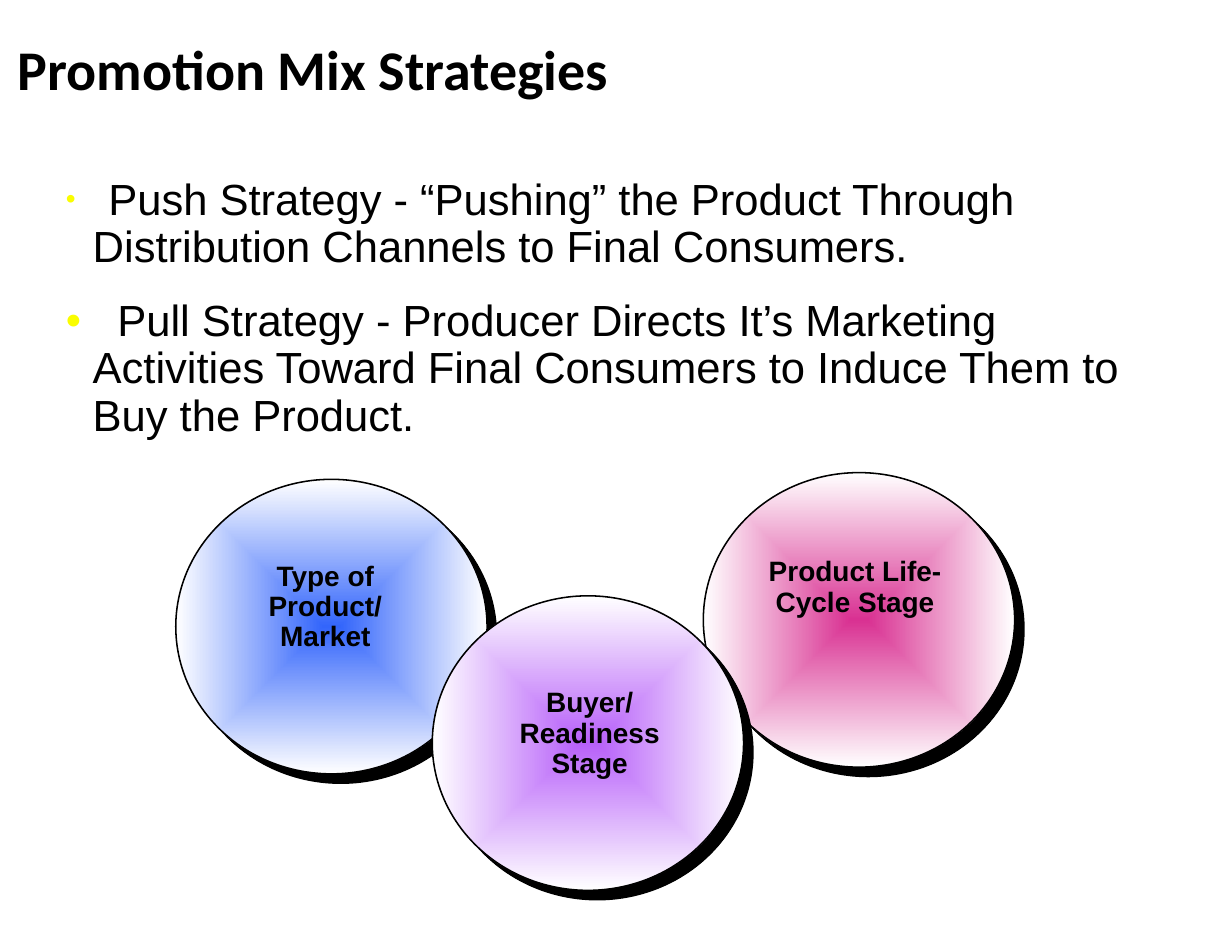
from dataclasses import dataclass

import pptx
import pptx.dml.color
import pptx.enum.shapes
import pptx.enum.text
import pptx.oxml
import pptx.oxml.ns
import pptx.util

NAMESPACE = pptx.oxml.ns.nsdecls("a")
ALIGN = pptx.enum.text.PP_ALIGN
ANCHOR = pptx.enum.text.MSO_ANCHOR


@dataclass(frozen=True)
class Theme:
    ink: str = "000000"
    paper: str = "FFFFFF"
    bullet: str = "FAFD00"
    heading_font: str = "Calibri"
    body_font: str = "Arial"
    title_size: int = 36
    body_size: int = 28
    label_size: int = 18
    line_spacing: float = 0.9
    paragraph_gap: float = 17.5
    hanging_indent: float = 0.24


@dataclass(frozen=True)
class Box:
    """Left, top, width and height in percent of the slide's size."""
    left: float
    top: float
    width: float
    height: float


@dataclass(frozen=True)
class Factor:
    text: str
    color: str
    circle: Box
    label: Box


@dataclass(frozen=True)
class Strategy:
    text: str
    bullet_size: int
    lead: float  # inches between the hanging indent and the first word


THEME = Theme()
SLIDE_WIDTH = pptx.util.Inches(11)
SLIDE_HEIGHT = pptx.util.Inches(8.5)
CIRCLE_SIZE = (25.27, 30.94)
TITLE_BOX = Box(0.55, 0.35, 87.91, 14.59)
BODY_BOX = Box(4.45, 18.12, 91, 28.71)

STRATEGIES = [
    Strategy("Push Strategy - “Pushing” the Product Through Distribution "
             "Channels to Final Consumers.", 18, 0.14),
    Strategy("Pull Strategy - Producer Directs It’s Marketing Activities Toward "
             "Final Consumers to Induce Them to Buy the Product.", 28, 0.22),
]

# Back to front
FACTORS = [
    Factor("Product Life-Cycle Stage", "D93192",
           Box(57.09, 49.65, *CIRCLE_SIZE), Box(60.36, 58, 18.09, 12.47)),
    Factor("Type of Product/ Market", "3365FB",
           Box(14.27, 50.35, *CIRCLE_SIZE), Box(19.09, 58.47, 14.64, 10.71)),
    Factor("Buyer/ Readiness Stage", "B760F9",
           Box(35.09, 62.59, *CIRCLE_SIZE), Box(38.82, 71.76, 18.09, 10.71)),
]


def rgb(value: str) -> pptx.dml.color.RGBColor:
    return pptx.dml.color.RGBColor.from_string(value)


def place(box: Box) -> tuple[int, int, int, int]:
    return (int(SLIDE_WIDTH * box.left / 100), int(SLIDE_HEIGHT * box.top / 100),
            int(SLIDE_WIDTH * box.width / 100), int(SLIDE_HEIGHT * box.height / 100))


def style_font(font, name: str, size: int, bold: bool = False) -> None:
    font.name = name
    font.size = pptx.util.Pt(size)
    font.bold = bold
    font.color.rgb = rgb(THEME.ink)


def add_text_frame(slide, box: Box, anchor=ANCHOR.TOP):
    text_frame = slide.shapes.add_textbox(*place(box)).text_frame
    text_frame.word_wrap = True
    text_frame.vertical_anchor = anchor
    return text_frame


def add_bold_text(slide, box: Box, text: str, font: str, size: int,
                  alignment=ALIGN.LEFT, anchor=ANCHOR.TOP) -> None:
    text_frame = add_text_frame(slide, box, anchor)
    text_frame.text = text
    paragraph = text_frame.paragraphs[0]
    paragraph.alignment = alignment
    paragraph.line_spacing = THEME.line_spacing
    style_font(paragraph.runs[0].font, font, size, bold=True)


def add_bullet(paragraph, lead: float) -> None:
    """Hang a coloured bullet and set the tab stop for the first word."""
    indent = pptx.util.Inches(THEME.hanging_indent)
    properties = paragraph._p.get_or_add_pPr()
    properties.set("marL", str(indent))
    properties.set("indent", str(-indent))
    # Some programs measure tabs from the indent, others from the box edge.
    stops = "".join(f'<a:tab pos="{pptx.util.Inches(start + lead)}" algn="l"/>'
                    for start in (0, THEME.hanging_indent))
    for xml in (f'<a:buClr {NAMESPACE}><a:srgbClr val="{THEME.bullet}"/></a:buClr>',
                f'<a:buFont {NAMESPACE} typeface="{THEME.body_font}"/>',
                f'<a:buChar {NAMESPACE} char="•"/>',
                f'<a:tabLst {NAMESPACE}>{stops}</a:tabLst>'):
        properties.append(pptx.oxml.parse_xml(xml))


def add_strategies(slide) -> None:
    text_frame = add_text_frame(slide, BODY_BOX)
    for index, strategy in enumerate(STRATEGIES):
        paragraph = text_frame.add_paragraph() if index else text_frame.paragraphs[0]
        add_bullet(paragraph, strategy.lead)
        paragraph.line_spacing = THEME.line_spacing
        paragraph.space_before = pptx.util.Pt(THEME.paragraph_gap if index else 0)
        for text, size in (("\t", strategy.bullet_size),
                           (strategy.text, THEME.body_size)):
            run = paragraph.add_run()
            run.text = text
            style_font(run.font, THEME.body_font, size)


def add_circle(slide, factor: Factor) -> None:
    """Draw a circle that fades from its centre and casts a hard shadow."""
    shape = slide.shapes.add_shape(
        pptx.enum.shapes.MSO_SHAPE.OVAL, *place(factor.circle))
    shape.line.color.rgb = rgb(THEME.ink)
    shape.line.width = pptx.util.Pt(1)
    shape.fill.gradient()
    for stop, color in zip(shape.fill.gradient_stops, (factor.color, THEME.paper)):
        stop.color.rgb = rgb(color)
    properties = shape._element.spPr
    linear = properties.find(".//" + pptx.oxml.ns.qn("a:lin"))
    linear.getparent().replace(linear, pptx.oxml.parse_xml(
        f'<a:path {NAMESPACE} path="rect"><a:fillToRect l="50000" t="50000" '
        'r="50000" b="50000"/></a:path>'))
    shape.shadow.inherit = False
    properties.find(pptx.oxml.ns.qn("a:effectLst")).append(pptx.oxml.parse_xml(
        f'<a:outerShdw {NAMESPACE} blurRad="0" dist="{pptx.util.Pt(8.5)}" '
        f'dir="2700000" algn="ctr" rotWithShape="0">'
        f'<a:srgbClr val="{THEME.ink}"/></a:outerShdw>'))


def main() -> None:
    presentation = pptx.Presentation()
    presentation.slide_width = SLIDE_WIDTH
    presentation.slide_height = SLIDE_HEIGHT
    slide = presentation.slides.add_slide(presentation.slide_layouts[6])
    add_bold_text(slide, TITLE_BOX, "Promotion Mix Strategies", THEME.heading_font,
                  THEME.title_size, anchor=ANCHOR.MIDDLE)
    add_strategies(slide)
    for factor in FACTORS:
        add_circle(slide, factor)
    for factor in FACTORS:
        add_bold_text(slide, factor.label, factor.text, THEME.body_font,
                      THEME.label_size, ALIGN.CENTER)
    presentation.save("out.pptx")


if __name__ == "__main__":
    main()
